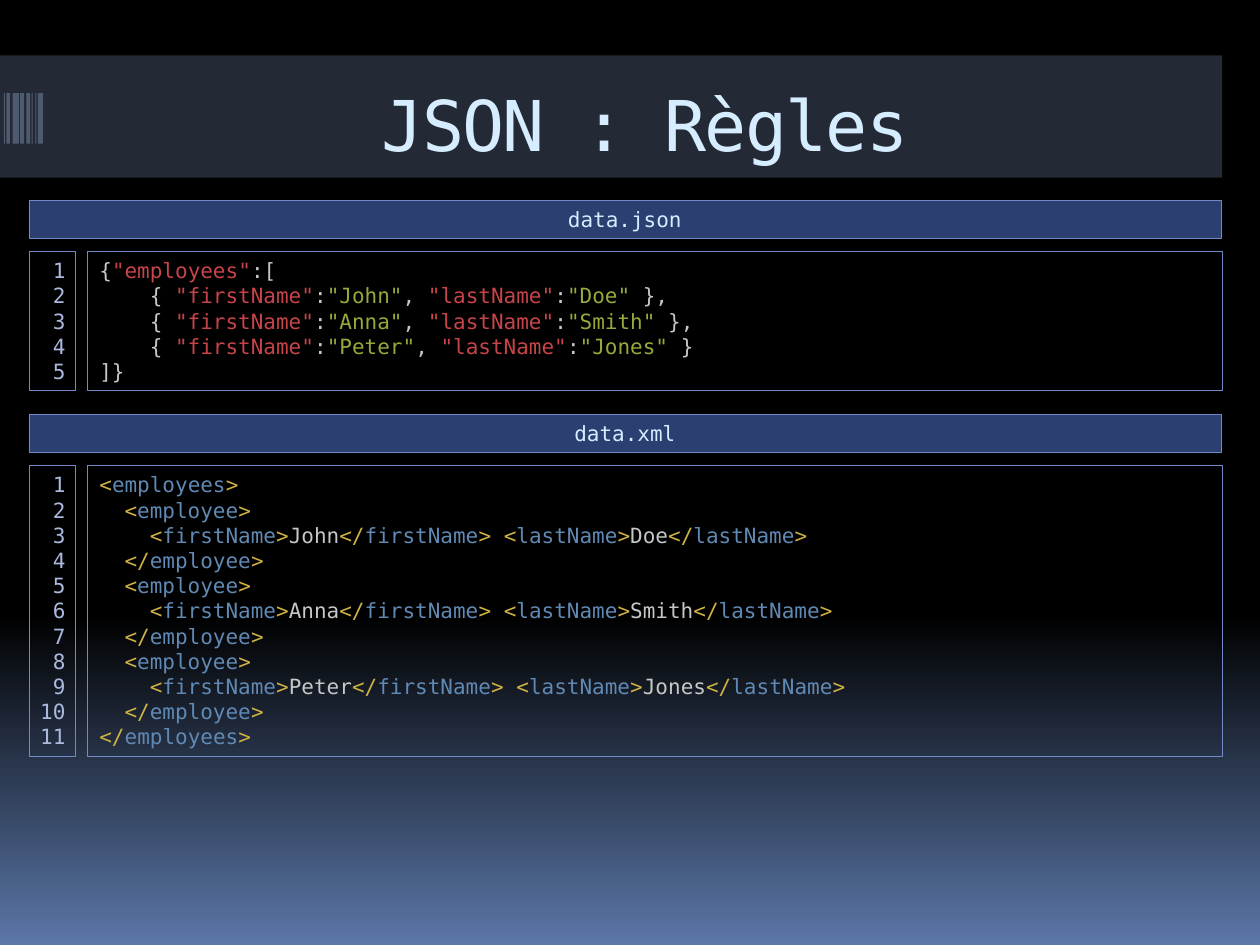
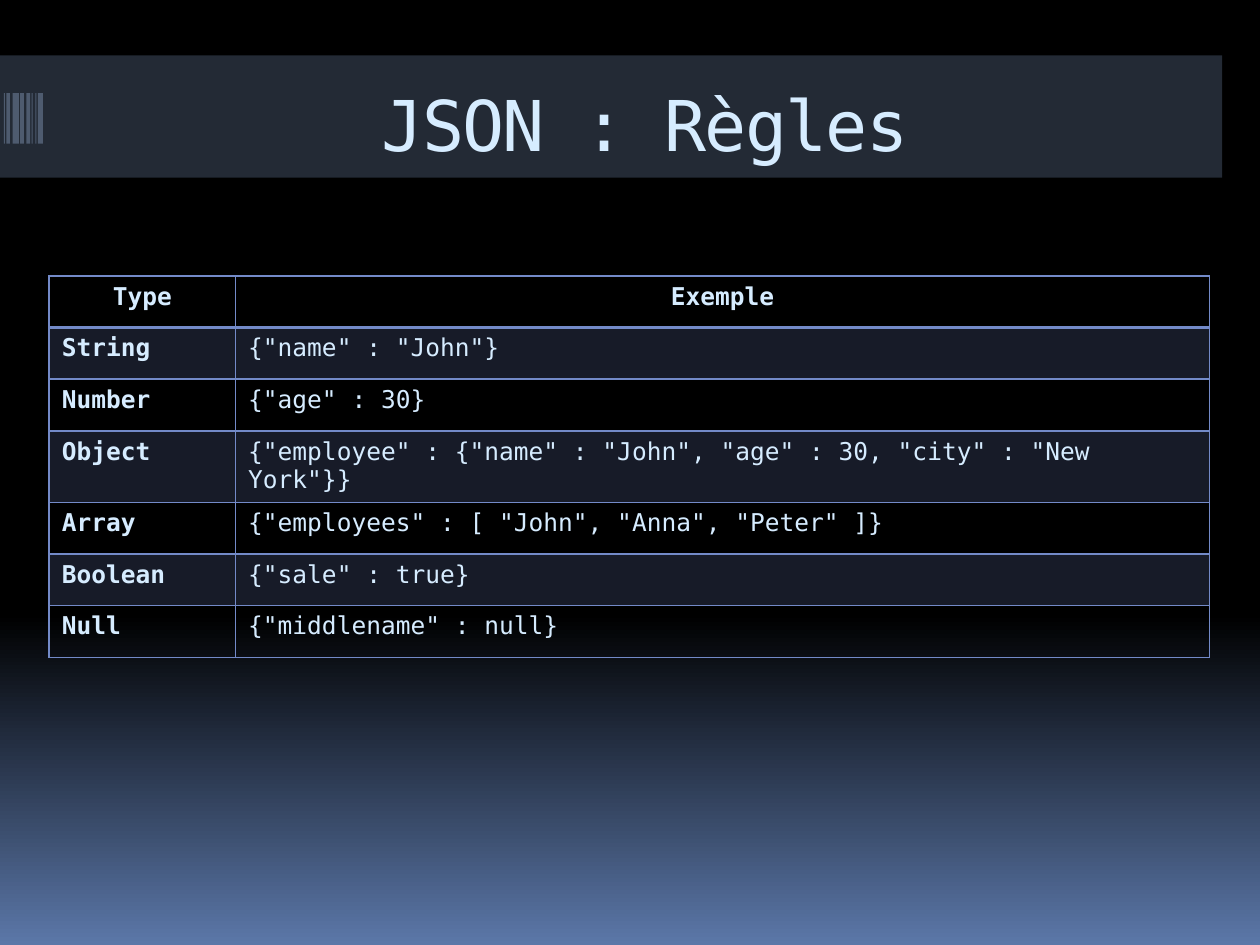
import lxml.etree
import pptx
import pptx.dml.color
import pptx.enum.shapes
import pptx.enum.text
import pptx.oxml.ns
import pptx.util

Inches = pptx.util.Inches
Pt = pptx.util.Pt
RGBColor = pptx.dml.color.RGBColor
Align = pptx.enum.text.PP_ALIGN
Anchor = pptx.enum.text.MSO_ANCHOR
RECT = pptx.enum.shapes.MSO_SHAPE.RECTANGLE
qn = pptx.oxml.ns.qn

# Colours
BLACK = RGBColor(0x00, 0x00, 0x00)
GLOW = RGBColor(0x5B, 0x77, 0xA8)
BAND = RGBColor(0x58, 0x6A, 0x86)
STRIPE = RGBColor(0x4E, 0x5B, 0x6F)
ICE = RGBColor(0xD6, 0xEC, 0xFF)
EDGE = RGBColor(0x73, 0x8A, 0xC8)
NAVY = RGBColor(0x2C, 0x3F, 0x71)
COUNT = RGBColor(0xAB, 0xB9, 0xDE)
PALE = RGBColor(0xC5, 0xC8, 0xC6)
RED = RGBColor(0xC7, 0x44, 0x4A)
GREEN = RGBColor(0x9A, 0xA8, 0x3A)
GOLD = RGBColor(0xD0, 0xB3, 0x44)
BLUE = RGBColor(0x60, 0x89, 0xB4)

FONT = "DejaVu Sans Mono"
# Left and width of each stripe on the title band
STRIPES = [(0.03, 0.01), (0.05, 0.03), (0.1, 0.05), (0.16, 0.03),
           (0.21, 0.03), (0.25, 0.01), (0.28, 0.01), (0.3, 0.04)]

# Code lines: indent level and text
JSON = [
    (0, '{"employees":['),
    (2, '{ "firstName":"John", "lastName":"Doe" },'),
    (2, '{ "firstName":"Anna", "lastName":"Smith" },'),
    (2, '{ "firstName":"Peter", "lastName":"Jones" }'),
    (0, ']}'),
]
XML = [(0, "<employees>")]
for first, last in [("John", "Doe"), ("Anna", "Smith"), ("Peter", "Jones")]:
    XML += [
        (1, "<employee>"),
        (2, f"<firstName>{first}</firstName> <lastName>{last}</lastName>"),
        (1, "</employee>"),
    ]
XML.append((0, "</employees>"))

TYPES = [
    ("Type", "Exemple"),
    ("String", '{"name" : "John"}'),
    ("Number", '{"age" : 30}'),
    ("Object", '{"employee" : {"name" : "John", "age" : 30, "city" : "New York"}}'),
    ("Array", '{"employees" : [ "John", "Anna", "Peter" ]}'),
    ("Boolean", '{"sale" : true}'),
    ("Null", '{"middlename" : null}'),
]


def json_runs(line):
    """Split a JSON line into coloured runs: keys, values, marks."""
    parts = line.split('"')
    for i, part in enumerate(parts):
        if i % 2:
            yield f'"{part}"', RED if parts[i + 1].startswith(":") else GREEN
        elif part:
            yield part, PALE


def xml_runs(line):
    """Split an XML line into coloured runs: brackets, names, content."""
    for part in line.split("<")[1:]:
        tag, text = part.split(">")
        yield "</" if tag.startswith("/") else "<", GOLD
        yield tag.lstrip("/"), BLUE
        yield ">", GOLD
        if text:
            yield text, PALE


class Deck:
    def __init__(self):
        self.show = pptx.Presentation()
        self.show.slide_width = Inches(10)
        self.show.slide_height = Inches(7.5)
        self.slide = None

    def start(self, title):
        """Add a slide with its backdrop, band, stripes and title."""
        self.slide = self.show.slides.add_slide(self.show.slide_layouts[6])
        fill = self.slide.background.fill
        fill.gradient()
        fill.gradient_angle = 270
        for stop, place, color in zip(fill.gradient_stops, (0.65, 1), (BLACK, GLOW)):
            stop.position = place
            stop.color.rgb = color
        self.fade(self.box(0, 0.44, 9.7, 0.97, BAND), 40)
        for left, width in STRIPES:
            self.box(left, 0.74, width, 0.4, STRIPE)
        head = self.slide.shapes.add_textbox(
            Inches(0.55), Inches(0.56), Inches(9.14), Inches(1))
        frame = head.text_frame
        frame.word_wrap = True
        frame.margin_top = Inches(0.09)
        para = frame.paragraphs[0]
        para.text = title
        para.alignment = Align.CENTER
        self.style(para.runs[0], ICE, 40)
        para.runs[0].font._element.set("spc", "-100")

    def style(self, run, color, size=12, bold=False):
        run.font.name = FONT
        run.font.size = Pt(size)
        run.font.bold = bold
        run.font.color.rgb = color

    def fade(self, item, share):
        """Set the opacity of a solid fill, in per cent."""
        for color in item._element.iter(qn("a:srgbClr")):
            lxml.etree.SubElement(color, qn("a:alpha"), val=str(share * 1000))

    def box(self, left, top, width, height, fill=None, edge=None):
        shape = self.slide.shapes.add_shape(
            RECT, Inches(left), Inches(top), Inches(width), Inches(height))
        shape.shadow.inherit = False
        if fill is None:
            shape.fill.background()
        else:
            shape.fill.solid()
            shape.fill.fore_color.rgb = fill
        if edge is None:
            shape.line.fill.background()
        else:
            shape.line.color.rgb = edge
            shape.line.width = Pt(0.25)
        return shape

    def label(self, shape, lines, align):
        """Fill a shape with lines, each an indent level and its runs."""
        frame = shape.text_frame
        frame.word_wrap = True
        frame.vertical_anchor = Anchor.MIDDLE
        for i, (level, runs) in enumerate(lines):
            para = frame.add_paragraph() if i else frame.paragraphs[0]
            para.alignment = align
            if level:
                para._p.get_or_add_pPr().set("marL", str(Inches(0.2 * level)))
            for text, color in runs:
                run = para.add_run()
                run.text = text
                self.style(run, color)

    def code(self, top, name, lines, split):
        """Add a file name bar, a code box and its line numbers."""
        tall = 0.2 * len(lines) + 0.11
        body = self.box(0.69, top + 0.4, 9.01, tall, edge=EDGE)
        self.label(body, [(level, split(text)) for level, text in lines], Align.LEFT)
        count = self.box(0.23, top + 0.4, 0.37, tall, edge=EDGE)
        count.text_frame.margin_left = count.text_frame.margin_right = Inches(0.08)
        nums = [(0, [(str(n), COUNT)]) for n in range(1, len(lines) + 1)]
        self.label(count, nums, Align.RIGHT)
        bar = self.box(0.23, top, 9.46, 0.3, NAVY, EDGE)
        self.label(bar, [(0, [(name, ICE)])], Align.CENTER)

    def border(self, cell, side, width):
        line = lxml.etree.SubElement(
            cell._tc.get_or_add_tcPr(), qn(f"a:ln{side}"), w=str(Pt(width)))
        fill = lxml.etree.SubElement(line, qn("a:solidFill"))
        lxml.etree.SubElement(fill, qn("a:srgbClr"), val=str(EDGE))

    def table(self, left, top, widths, height, rows):
        grid = self.slide.shapes.add_table(
            len(rows), len(widths), Inches(left), Inches(top),
            Inches(sum(widths)), Inches(height * len(rows))).table
        grid.first_row = grid.horz_banding = False
        for col, width in zip(grid.columns, widths):
            col.width = Inches(width)
        for r, row in enumerate(rows):
            for c, text in enumerate(row):
                cell = grid.cell(r, c)
                for side in "LRTB":
                    thick = (r, side) in ((0, "B"), (1, "T"))
                    self.border(cell, side, 2 if thick else 1)
                if r % 2:
                    cell.fill.solid()
                    cell.fill.fore_color.rgb = EDGE
                    fill = cell._tc.tcPr.find(qn("a:solidFill"))
                    lxml.etree.SubElement(fill[0], qn("a:alpha"), val="20000")
                else:
                    cell.fill.background()
                para = cell.text_frame.paragraphs[0]
                para.text = text
                para.alignment = Align.LEFT if r else Align.CENTER
                self.style(para.runs[0], ICE, 14, bold=r == 0 or c == 0)


def main():
    deck = Deck()

    # The same data in two formats
    deck.start("JSON : Règles")
    deck.code(1.59, "data.json", JSON, json_runs)
    deck.code(3.29, "data.xml", XML, xml_runs)

    # Value types
    deck.start("JSON : Règles")
    deck.table(0.39, 2.19, (1.48, 7.73), 0.41, TYPES)

    deck.show.save("out.pptx")


if __name__ == "__main__":
    main()
